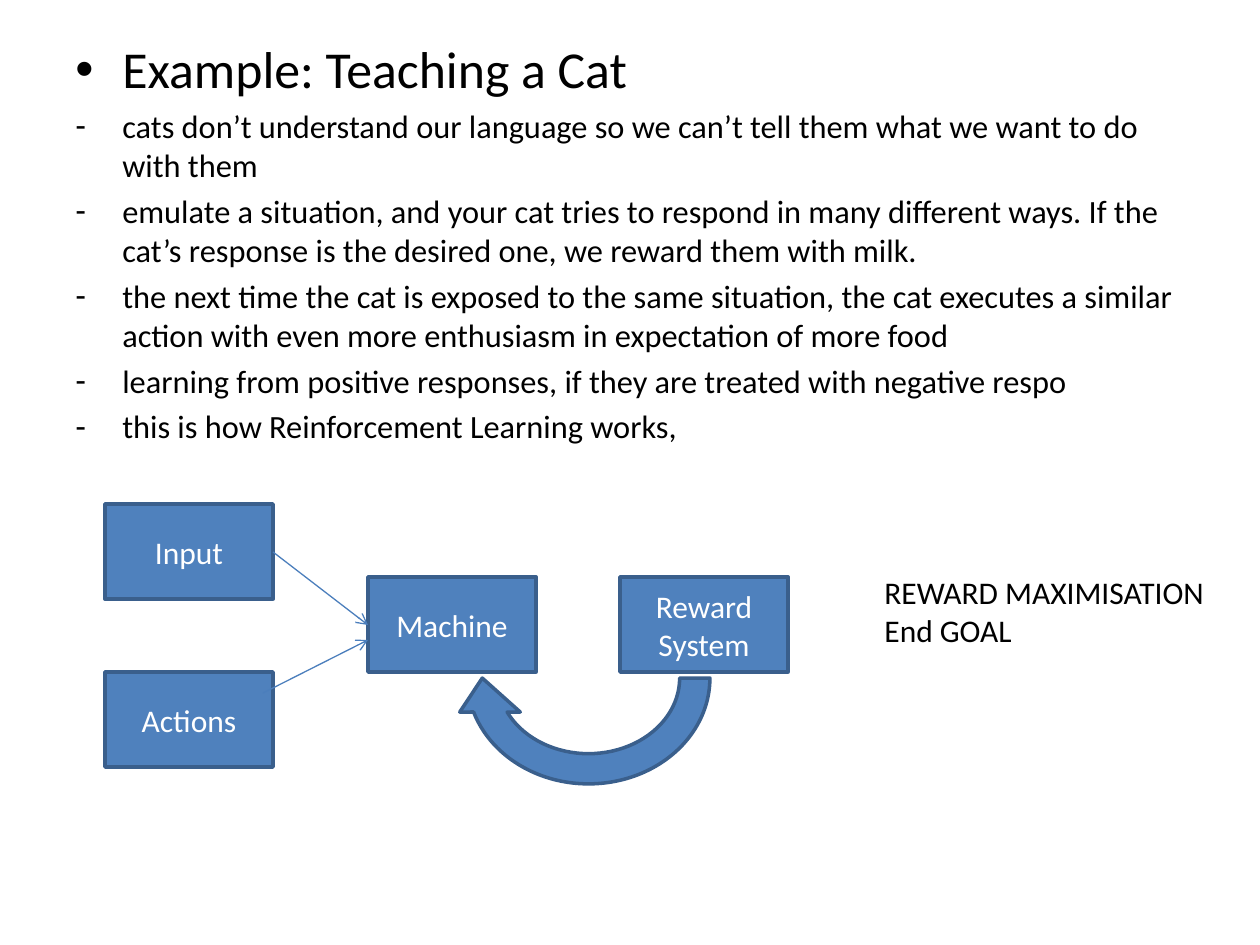
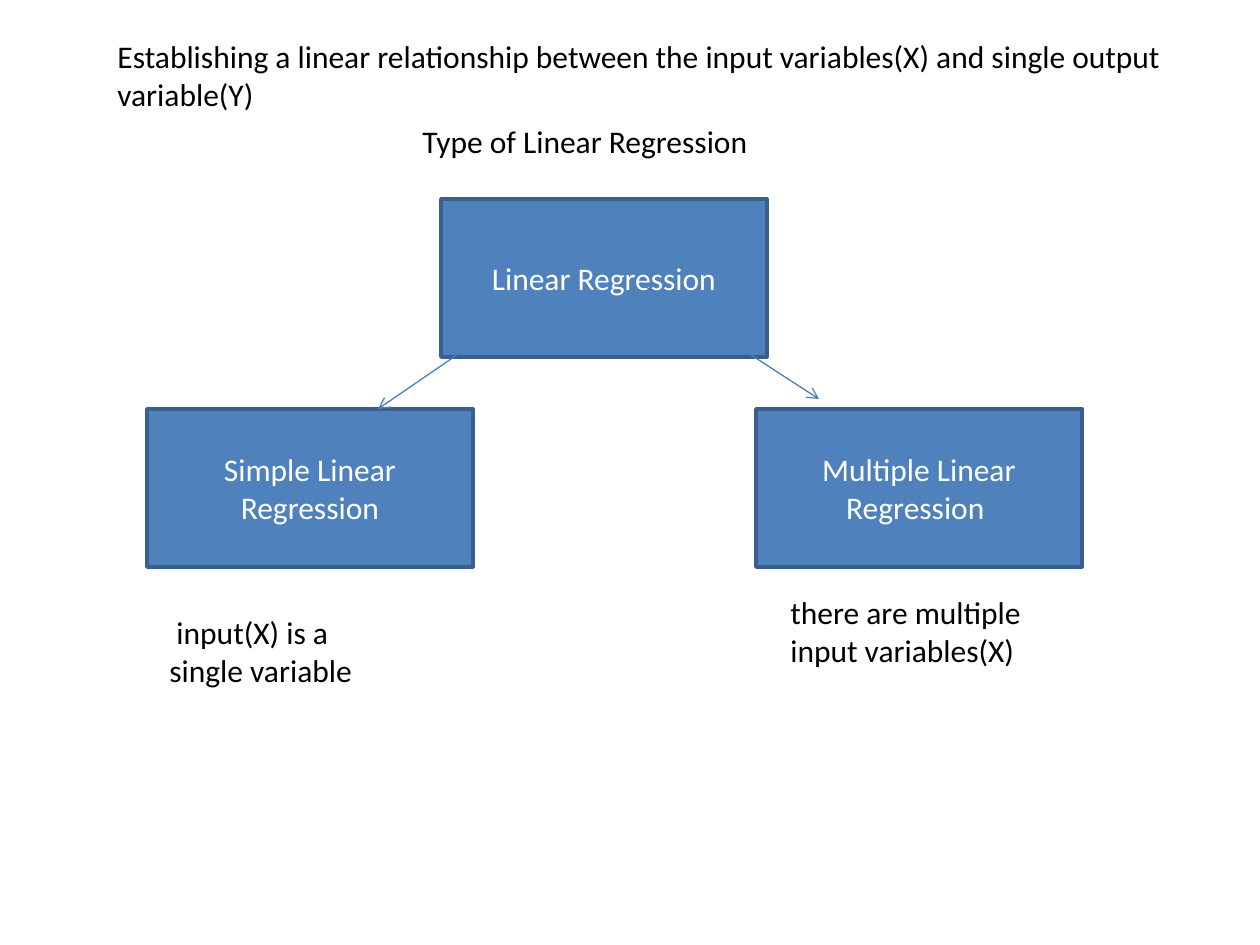
import pptx
import pptx.util
import pptx.dml.color
import pptx.enum.shapes
import pptx.enum.text
import pptx.oxml
import pptx.oxml.ns

PIXEL = 914400 / 126
COLORS = {"text": "000000", "label": "FFFFFF", "fill": "4F81BD", "edge": "3A5F8C", "arrow": "4B7EBC"}
SHAPES = pptx.enum.shapes.MSO_SHAPE
ALIGN = pptx.enum.text.PP_ALIGN
ANCHOR = pptx.enum.text.MSO_ANCHOR
BODY_FONT = {"name": "Calibri", "size": pptx.util.Pt(18)}
TOP_FRAME = {"word_wrap": True, "vertical_anchor": ANCHOR.TOP}
LABEL_FRAME = {"word_wrap": True, "vertical_anchor": ANCHOR.MIDDLE}
NODE = (168, 95)
TYPE_NODE = (326, 158)
HANGING = 47

LESSON = [
    "cats don’t understand our language so we can’t tell them what we want to do with them",
    "emulate a situation, and your cat tries to respond in many different ways. "
    "If the cat’s response is the desired one, we reward them with milk.",
    "the next time the cat is exposed to the same situation, the cat executes a similar action "
    "with even more enthusiasm in expectation of more food",
    "learning from positive responses, if they are treated with negative respo",
    "this is how Reinforcement Learning works, ",
]


def emu(*pixels):
    return [round(pixel * PIXEL) for pixel in pixels]


def color(key):
    return pptx.dml.color.RGBColor.from_string(COLORS[key])


def apply(target, values):
    for name, value in values.items():
        setattr(target, name, value)


def child(parent, tag, **attributes):
    element = pptx.oxml.parse_xml(f"<a:{tag} {pptx.oxml.ns.nsdecls('a')}/>")
    for name, value in attributes.items():
        element.set(name, value)
    parent.append(element)


def add_span(para, text, ink="text", **font):
    span = para.add_run()
    span.text = text
    apply(span.font, {**BODY_FONT, **font})
    span.font.color.rgb = color(ink)


def add_text(page, box, lines, **frame_values):
    frame = page.shapes.add_textbox(*emu(*box)).text_frame
    apply(frame, {**TOP_FRAME, **frame_values})
    for index, line in enumerate(lines):
        para = frame.paragraphs[0] if index == 0 else frame.add_paragraph()
        add_span(para, line)
    return frame


def add_block(page, box, kind=SHAPES.RECTANGLE, label=None):
    block = page.shapes.add_shape(kind, *emu(*box))
    block.shadow.inherit = False
    block.fill.solid()
    block.fill.fore_color.rgb = color("fill")
    block.line.color.rgb = color("edge")
    block.line.width = pptx.util.Pt(2)
    if label:
        apply(block.text_frame, LABEL_FRAME)
        para = block.text_frame.paragraphs[0]
        para.alignment = ALIGN.CENTER
        add_span(para, label, "label")
    return block


def add_arrow(page, start, end):
    straight = pptx.enum.shapes.MSO_CONNECTOR.STRAIGHT
    arrow = page.shapes.add_connector(straight, *emu(*start, *end))
    arrow.line.color.rgb = color("arrow")
    arrow.line.width = pptx.util.Pt(0.75)
    child(arrow.line._get_or_add_ln(), "tailEnd", type="arrow")
    child(arrow._element.spPr, "effectLst")


def add_bullets(page, box, heading, items):
    frame = add_text(page, box, [])
    rows = [(heading, "•", 29.6, 6)] + [(item, "-", 18.5, 4) for item in items]
    for index, (text, mark, size, gap) in enumerate(rows):
        para = frame.paragraphs[0] if index == 0 else frame.add_paragraph()
        para.space_before = pptx.util.Pt(gap)
        add_span(para, text, size=pptx.util.Pt(size))
        properties = para._p.get_or_add_pPr()
        indent, = emu(HANGING)
        properties.set("marL", str(indent))
        properties.set("indent", str(-indent))
        child(properties, "buFont", typeface="Arial")
        child(properties, "buChar", char=mark)


def add_reward_loop(page, box):
    left, top, width, height = box
    nodes = {"Input": (0, 0), "Actions": (0, 168), "Machine": (263, 73), "Reward System": (515, 73)}
    for label, (x, y) in nodes.items():
        add_block(page, (left + x, top + y, *NODE), label=label)
    for start, end in [((168, 48), (263, 121)), ((158, 189), (263, 136))]:
        add_arrow(page, (left + start[0], top + start[1]), (left + end[0], top + end[1]))
    feedback = add_block(page, (left + 347, top + 53, 273, 242), SHAPES.CIRCULAR_ARROW)
    feedback.rotation = 180
    add_text(page, (left + width - 348, top + 63, 348, 89),
             ["REWARD MAXIMISATION", "End GOAL"], word_wrap=False)


def add_regression_tree(page, box):
    left, top, width, height = box
    child_top = top + height - TYPE_NODE[1]
    right = left + width - TYPE_NODE[0]
    nodes = [("Linear Regression", left + 294, top),
             ("Simple Linear Regression", left, child_top),
             ("Multiple Linear Regression ", right, child_top)]
    for label, x, y in nodes:
        add_block(page, (x, y, *TYPE_NODE), label=label)
    add_arrow(page, (left + 399, top + 95), (left + 231, child_top))
    add_arrow(page, (left + 493, top + 84), (left + 672, child_top - 10))
    add_text(page, (left + 10, top + height + 40, 231, 127), ["\u00a0input(X) is a single variable"])
    add_text(page, (right + 22, top + height + 20, 273, 89), ["there are multiple input variables(X)"])


def build_cat_page(page):
    add_bullets(page, (63, 31, 1134, 431), "Example: Teaching a Cat ", LESSON)
    add_reward_loop(page, (105, 504, 1115, 295))


def build_regression_page(page):
    add_regression_tree(page, (147, 199, 935, 368))
    add_text(page, (105, 31, 1092, 89), [
        "Establishing a linear relationship between the input variables(X) and single output variable(Y)"])
    add_text(page, (410, 116, 357, 53), ["Type of Linear Regression"])


deck = pptx.Presentation()
apply(deck, dict(zip(("slide_width", "slide_height"), emu(1260, 945))))
for build in (build_cat_page, build_regression_page):
    build(deck.slides.add_slide(deck.slide_layouts[6]))
deck.save("out.pptx")
